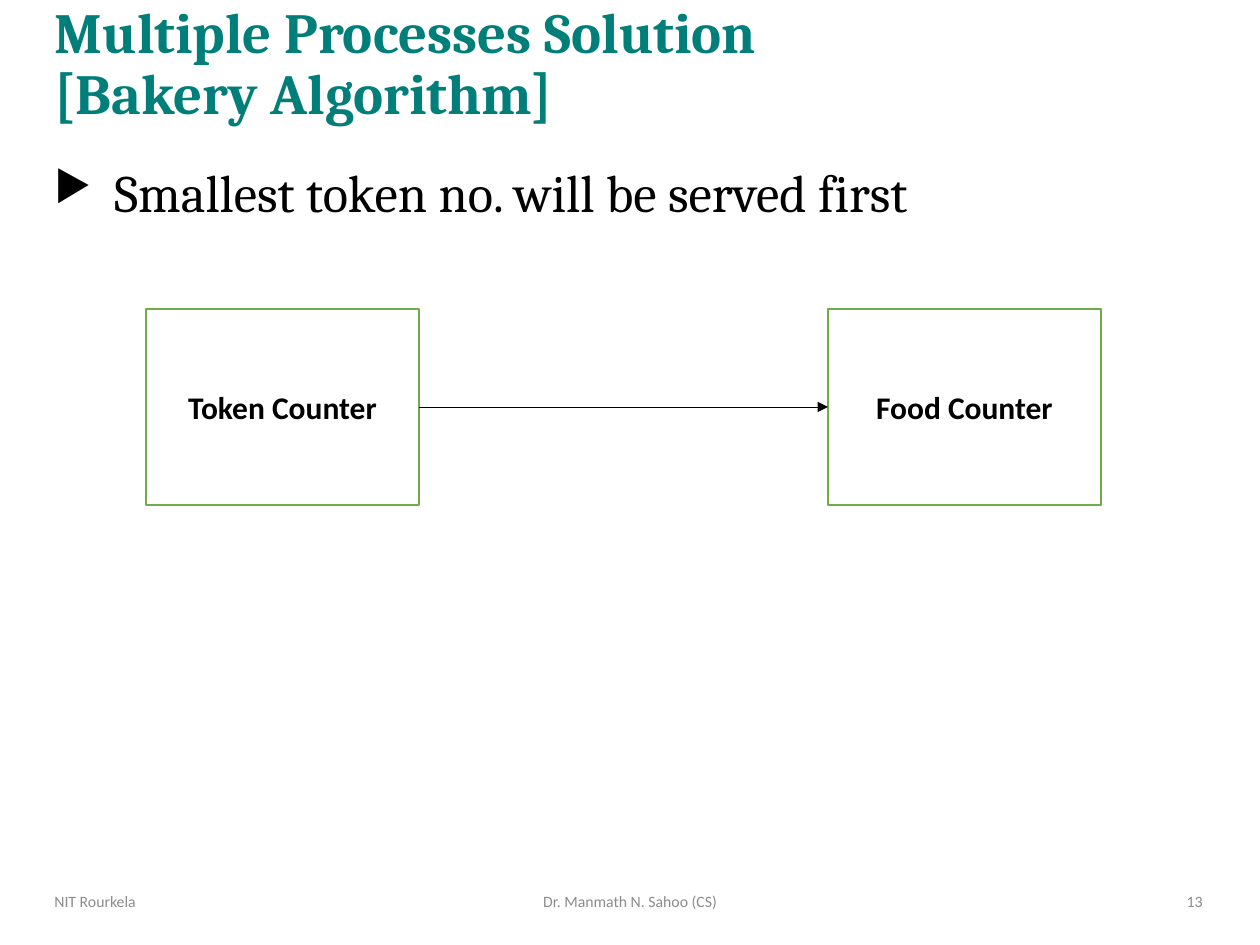
"""Build the Bakery Algorithm slide with its two counters."""
from copy import deepcopy

from lxml import etree
from pptx import Presentation, util as u
from pptx.dml.color import RGBColor
from pptx.enum import shapes, text
from pptx.oxml import ns

SCALE = 914400 / 126
LEFT, CENTER, RIGHT, JUSTIFY = (
    text.PP_ALIGN.LEFT, text.PP_ALIGN.CENTER, text.PP_ALIGN.RIGHT, text.PP_ALIGN.JUSTIFY)


def px(*lengths):
    return [u.Emu(round(length * SCALE)) for length in lengths]


def write(box, words, size, color="000000", font="Calibri", bold=False,
          align=LEFT, anchor=text.MSO_ANCHOR.MIDDLE, spacing=1.0):
    frame = box.text_frame
    frame.word_wrap = True
    frame.auto_size = text.MSO_AUTO_SIZE.NONE
    frame.vertical_anchor = anchor
    para = frame.paragraphs[0]
    para.text = words
    para.alignment = align
    para.line_spacing = spacing
    for span in para.runs:
        span.font.size = u.Pt(size)
        span.font.name = font
        span.font.bold = bold
        span.font.color.rgb = RGBColor.from_string(color)
    for line_break in para._p.findall(ns.qn("a:br")):
        line_break.insert(0, deepcopy(para.runs[0].font._element))
    return para


deck = Presentation()
deck.slide_width, deck.slide_height = px(1260, 945)
page = deck.slides.add_slide(deck.slide_layouts[5])

title = page.shapes.title
title.left, title.top, title.width, title.height = px(42, 5, 1172, 121)
write(title, "Multiple Processes Solution\v[Bakery Algorithm]", 32.4,
      color="007E7A", font="Cambria", bold=True, spacing=0.9)

body = page.shapes.add_textbox(*px(42, 141, 1172, 711))
rule = write(body, "Smallest token no. will be served first", 30, font="Cambria",
             align=JUSTIFY, anchor=text.MSO_ANCHOR.TOP, spacing=1.2)
rule.space_after = u.Pt(10)
indent = px(60)[0]
properties = rule._p.get_or_add_pPr()
properties.set("marL", str(indent))
properties.set("indent", str(-indent))
etree.SubElement(properties, ns.qn("a:buSzPct"), val="80000")
etree.SubElement(properties, ns.qn("a:buChar"), char="▶")

for words, left, width, align in [
    ("NIT Rourkela", 42, 328, LEFT),
    ("Dr. Manmath N. Sahoo (CS)", 417, 426, CENTER),
    ("13", 916, 299, RIGHT),
]:
    footer = page.shapes.add_textbox(*px(left, 876, width, 50))
    write(footer, words, 9, color="8C8C8C", align=align)

counters = []
for words, left in [("Token Counter", 146), ("Food Counter", 828)]:
    counter = page.shapes.add_shape(
        shapes.MSO_SHAPE.RECTANGLE, *px(left, 309, 273, 196))
    counter.shadow.inherit = False
    counter.fill.solid()
    counter.fill.fore_color.rgb = RGBColor.from_string("FFFFFF")
    counter.line.color.rgb = RGBColor.from_string("70AD47")
    counter.line.width = u.Pt(1)
    write(counter, words, 18, bold=True, align=CENTER)
    counters.append(counter)

arrow = page.shapes.add_connector(
    shapes.MSO_CONNECTOR.STRAIGHT, *px(419, 407, 828, 407))
arrow.begin_connect(counters[0], 3)
arrow.end_connect(counters[1], 1)
arrow.line.color.rgb = RGBColor.from_string("000000")
arrow.line.width = u.Pt(0.5)
etree.SubElement(arrow.line._get_or_add_ln(), ns.qn("a:tailEnd"), type="triangle")
etree.SubElement(arrow._element.spPr, ns.qn("a:effectLst"))

deck.save("out.pptx")
